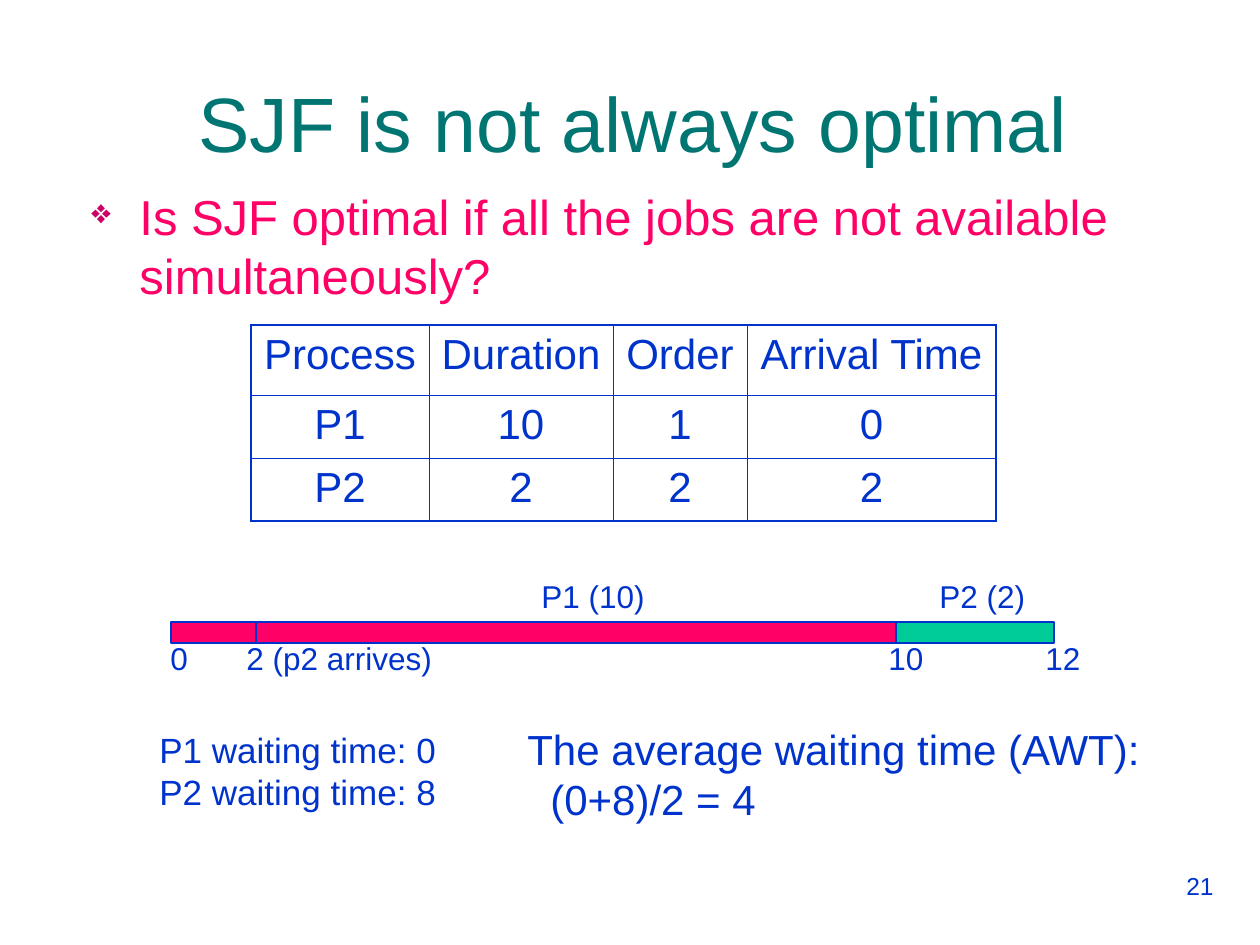
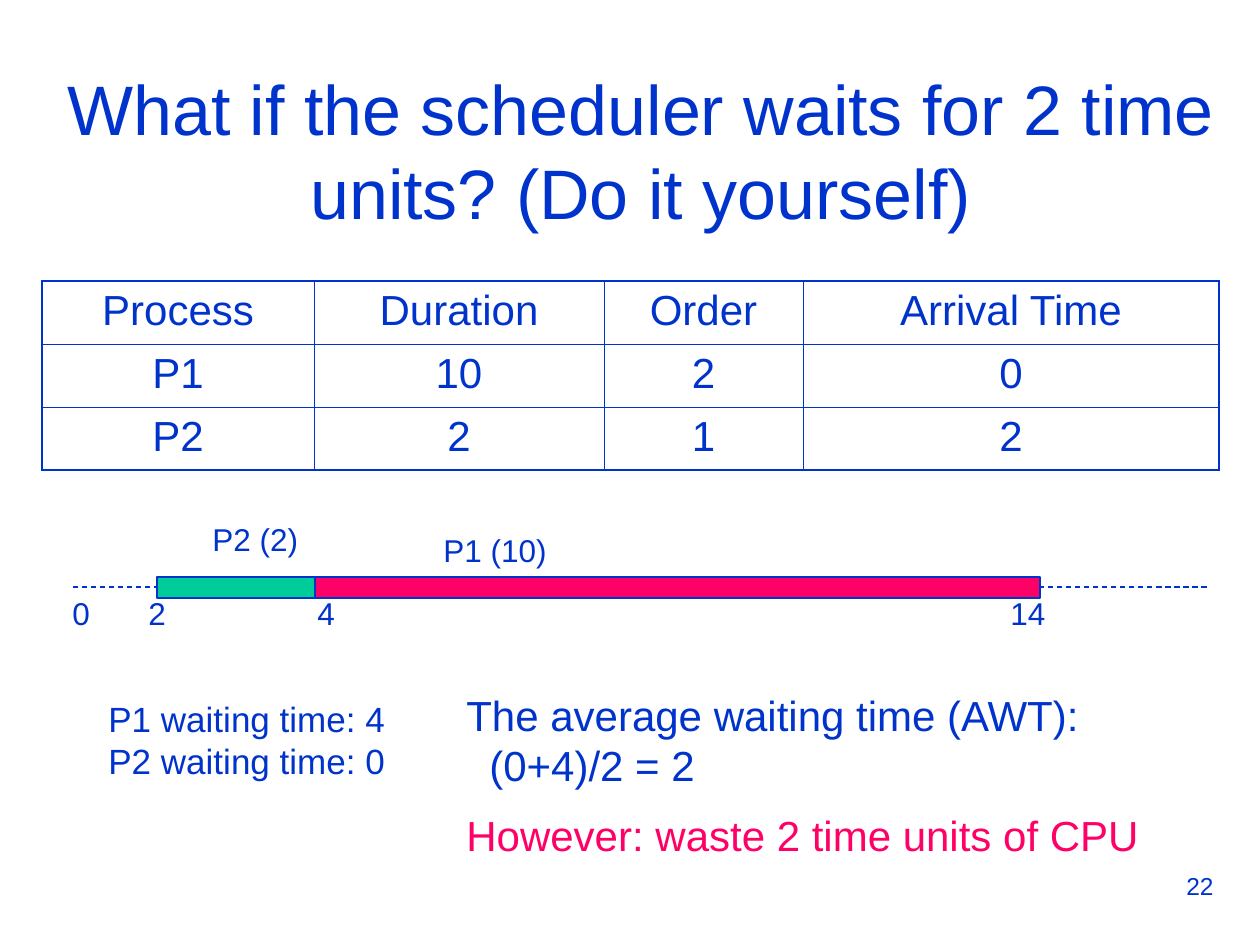
from lxml.etree import SubElement
from pptx import Presentation
from pptx.dml.color import RGBColor
from pptx.enum.dml import MSO_LINE
from pptx.enum.shapes import MSO_CONNECTOR, MSO_SHAPE
from pptx.enum.text import MSO_ANCHOR, MSO_AUTO_SIZE, PP_ALIGN
from pptx.oxml.ns import qn
from pptx.util import Emu, Pt

COLORS = {"blue": "0033CC", "teal": "007572", "pink": "FF0066",
          "green": "00CC99", "bullet": "CC0066"}
JOB_COLORS = {"P1 (10)": "pink", "P2 (2)": "green"}
JOB_WIDTHS = {"P1 (10)": 725, "P2 (2)": 158}
HEADINGS = ("Process", "Duration", "Order", "Arrival Time")
BAR_HEIGHT = 21


def px(n):
    """Turn pixels into EMU."""
    return Emu(round(n * 914400 / 126))


def rgb(name):
    """Look up a palette colour."""
    return RGBColor.from_string(COLORS[name])


def write(tf, text, size=18, color="blue", align=PP_ALIGN.LEFT, before=0,
          indent=0, bullet=None, add=False):
    """Write one paragraph into a text frame."""
    p = tf.add_paragraph() if add else tf.paragraphs[0]
    p.alignment = align
    p.space_before = Pt(before)
    pPr = p._p.get_or_add_pPr()
    if indent:
        pPr.set("marL", str(px(indent)))
    if bullet:
        pPr.set("indent", str(-px(indent)))
        clr = SubElement(pPr, qn("a:buClr"))
        SubElement(clr, qn("a:srgbClr"), val=COLORS["bullet"])
        SubElement(pPr, qn("a:buSzPct"), val="70000")
        SubElement(pPr, qn("a:buChar"), char=bullet)
    r = p.add_run()
    r.text = text
    r.font.name = "Arial"
    r.font.size = Pt(size)
    r.font.color.rgb = rgb(color)


def add_text(s, x, y, w, h, text, **fmt):
    """Add a wrapping text box and return its text frame."""
    tf = s.shapes.add_textbox(px(x), px(y), px(w), px(h)).text_frame
    tf.word_wrap = True
    write(tf, text, **fmt)
    return tf


def add_slide(prs, number, title, x, y, w, **fmt):
    """Add a slide with its title and page number."""
    s = prs.slides.add_slide(prs.slide_layouts[5])
    sp = s.shapes.title
    sp.left, sp.top, sp.width, sp.height = px(x), px(y), px(w), px(158)
    tf = sp.text_frame
    tf.word_wrap = True
    tf.auto_size = MSO_AUTO_SIZE.NONE
    tf.vertical_anchor = MSO_ANCHOR.MIDDLE
    write(tf, title, align=PP_ALIGN.CENTER, **fmt)
    add_text(s, 911, 865, 315, 66, str(number), size=14, align=PP_ALIGN.RIGHT)
    return s


def add_line(s, x1, y1, x2, y2, dash=None):
    """Add a thin blue line."""
    c = s.shapes.add_connector(MSO_CONNECTOR.STRAIGHT, px(x1), px(y1), px(x2), px(y2))
    c.line.color.rgb = rgb("blue")
    c.line.width = Pt(0.75)
    if dash:
        c.line.dash_style = dash
    SubElement(c._element.spPr, qn("a:effectLst"))


def set_borders(cell, outer_sides):
    """Draw cell borders, heavier on the outer sides."""
    tcPr = cell._tc.get_or_add_tcPr()
    for i, side in enumerate("LRTB"):
        width = Pt(1.08 if side in outer_sides else 0.45)
        ln = SubElement(tcPr, qn(f"a:ln{side}"), w=str(width))
        tcPr.remove(ln)
        tcPr.insert(i, ln)
        fill = SubElement(ln, qn("a:solidFill"))
        SubElement(fill, qn("a:srgbClr"), val=COLORS["blue"])


def add_process_table(s, x, y, widths, heights, orders):
    """Add the process table with the given execution order."""
    rows = [HEADINGS, ("P1", "10", orders[0], "0"), ("P2", "2", orders[1], "2")]
    frame = s.shapes.add_table(len(rows), len(widths), px(x), px(y),
                               px(sum(widths)), px(sum(heights)))
    table = frame.table
    table.first_row = table.horz_banding = False
    for col, w in zip(table.columns, widths):
        col.width = px(w)
    for i, (row, h) in enumerate(zip(rows, heights)):
        table.rows[i].height = px(h)
        for j, text in enumerate(row):
            cell = table.cell(i, j)
            cell.fill.background()
            write(cell.text_frame, text, size=24, align=PP_ALIGN.CENTER)
            edges = {"L": j == 0, "R": j == len(row) - 1,
                     "T": i == 0, "B": i == len(rows) - 1}
            set_borders(cell, [side for side, outer in edges.items() if outer])


def add_timeline(s, y, start, end, jobs, marks, arrival):
    """Add the axis, job bars with labels, time marks and arrival tick."""
    middle = y + BAR_HEIGHT // 2
    add_line(s, start, middle, end, middle, dash=MSO_LINE.DASH)
    for job, x, label_x, label_y in jobs:
        sp = s.shapes.add_shape(MSO_SHAPE.RECTANGLE, px(x), px(y),
                                px(JOB_WIDTHS[job]), px(BAR_HEIGHT))
        sp.shadow.inherit = False
        sp.fill.solid()
        sp.fill.fore_color.rgb = rgb(JOB_COLORS[job])
        sp.line.color.rgb = rgb("blue")
        sp.line.width = Pt(0.75)
        add_text(s, label_x, label_y, 135, 50, job)
    for text, x in marks:
        add_text(s, x, middle + 1, 262 if len(text) > 2 else 65, 50, text)
    add_line(s, arrival, y, arrival, y + BAR_HEIGHT)


def add_waiting_times(s, x, y, p1, p2):
    """Add the waiting time of each process."""
    tf = add_text(s, x, y, 310, 97, f"P1 waiting time: {p1}", size=20)
    write(tf, f"P2 waiting time: {p2}", size=20, add=True)


def add_average(s, x, y, formula):
    """Add the average waiting time and return its text frame."""
    tf = add_text(s, x, y, 720, 113, "The average waiting time (AWT):", size=24)
    write(tf, formula, size=24, indent=23, add=True)
    return tf


def build_sjf_slide(prs):
    """Build the slide on shortest job first."""
    s = add_slide(prs, 21, "SJF is not always optimal", 45, 43, 1177,
                  size=44, color="teal")
    add_text(s, 79, 180, 1142, 140,
             "Is SJF optimal if all the jobs are not available simultaneously?",
             size=28, color="pink", indent=48, bullet="❖")
    add_process_table(s, 251, 325, (178, 184, 134, 249), (70, 63, 63), ("1", "2"))
    add_timeline(s, 622, 171, 1053,
                 [("P1 (10)", 171, 529, 571), ("P2 (2)", 896, 927, 571)],
                 [("0", 158), ("2 (p2 arrives)", 234), ("10", 876), ("12", 1033)],
                 arrival=256)
    add_waiting_times(s, 147, 722, 0, 8)
    add_average(s, 515, 717, "(0+8)/2 = 4")


def build_wait_slide(prs):
    """Build the slide on a scheduler that waits."""
    s = add_slide(prs, 22, "What if the scheduler waits for 2 time units? (Do it yourself)",
                  42, 71, 1197, size=40)
    add_process_table(s, 42, 281, (272, 290, 199, 416), (63, 63, 63), ("2", "1"))
    add_timeline(s, 577, 73, 1207,
                 [("P2 (2)", 157, 200, 514), ("P1 (10)", 315, 431, 525)],
                 [("0", 60), ("2", 136), ("4", 305), ("14", 998)],
                 arrival=157)
    add_waiting_times(s, 96, 691, 4, 0)
    tf = add_average(s, 454, 683, "(0+4)/2 = 2")
    write(tf, "However: waste 2 time units of CPU", size=24, color="pink",
          before=11, add=True)


def main():
    """Build and save the presentation."""
    prs = Presentation()
    prs.slide_width, prs.slide_height = px(1260), px(945)
    build_sjf_slide(prs)
    build_wait_slide(prs)
    prs.save("out.pptx")


if __name__ == "__main__":
    main()
